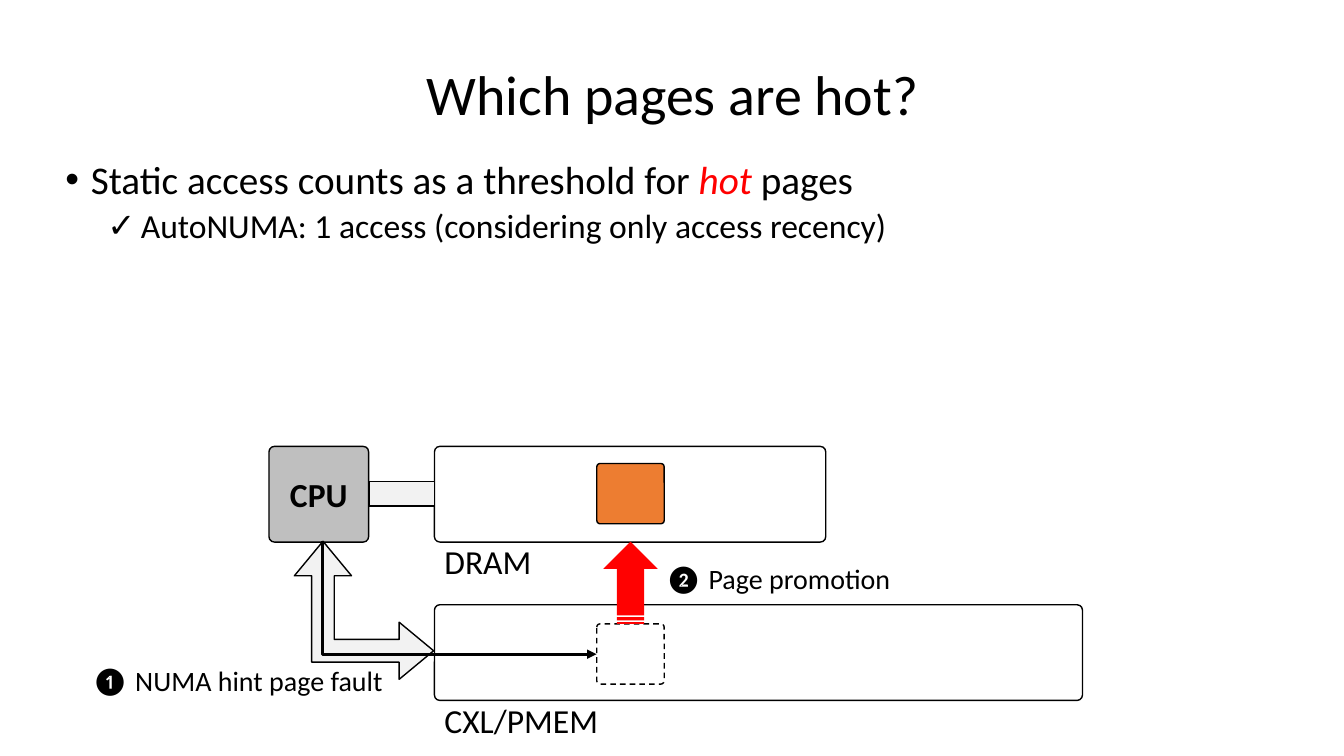
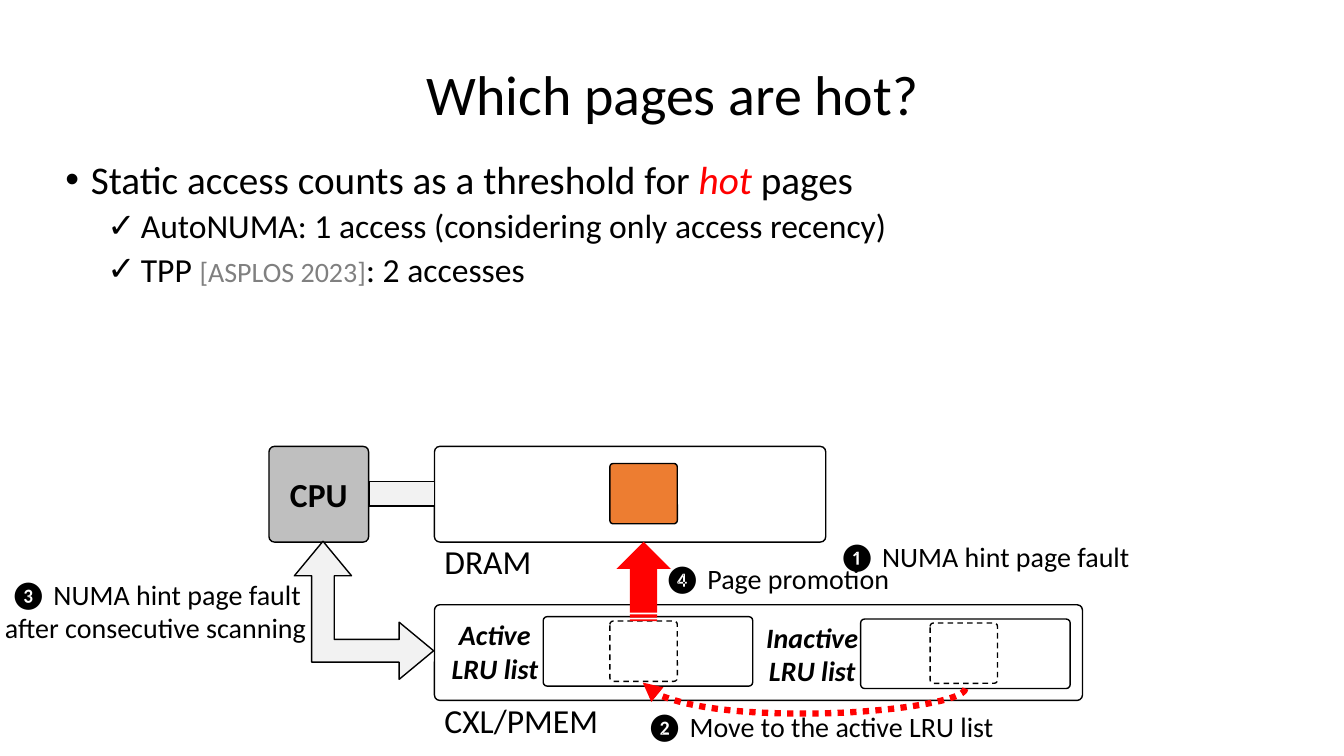
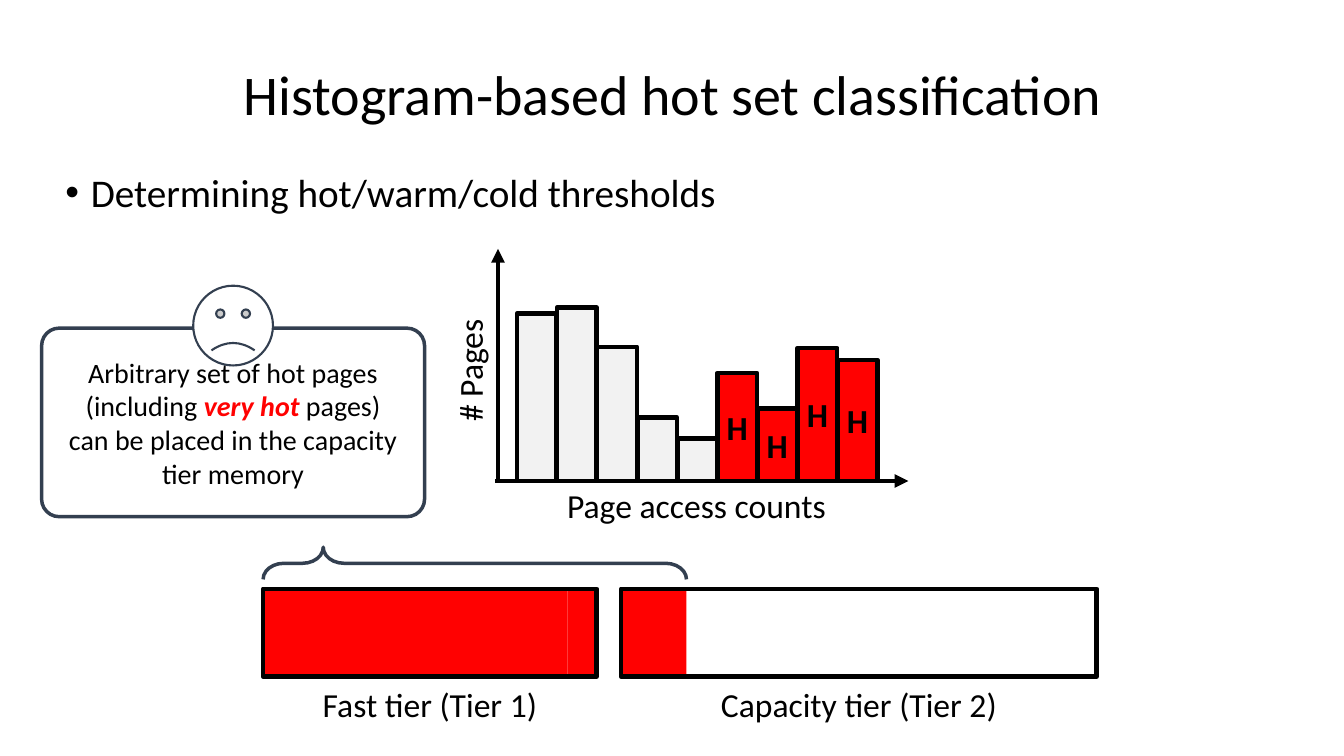
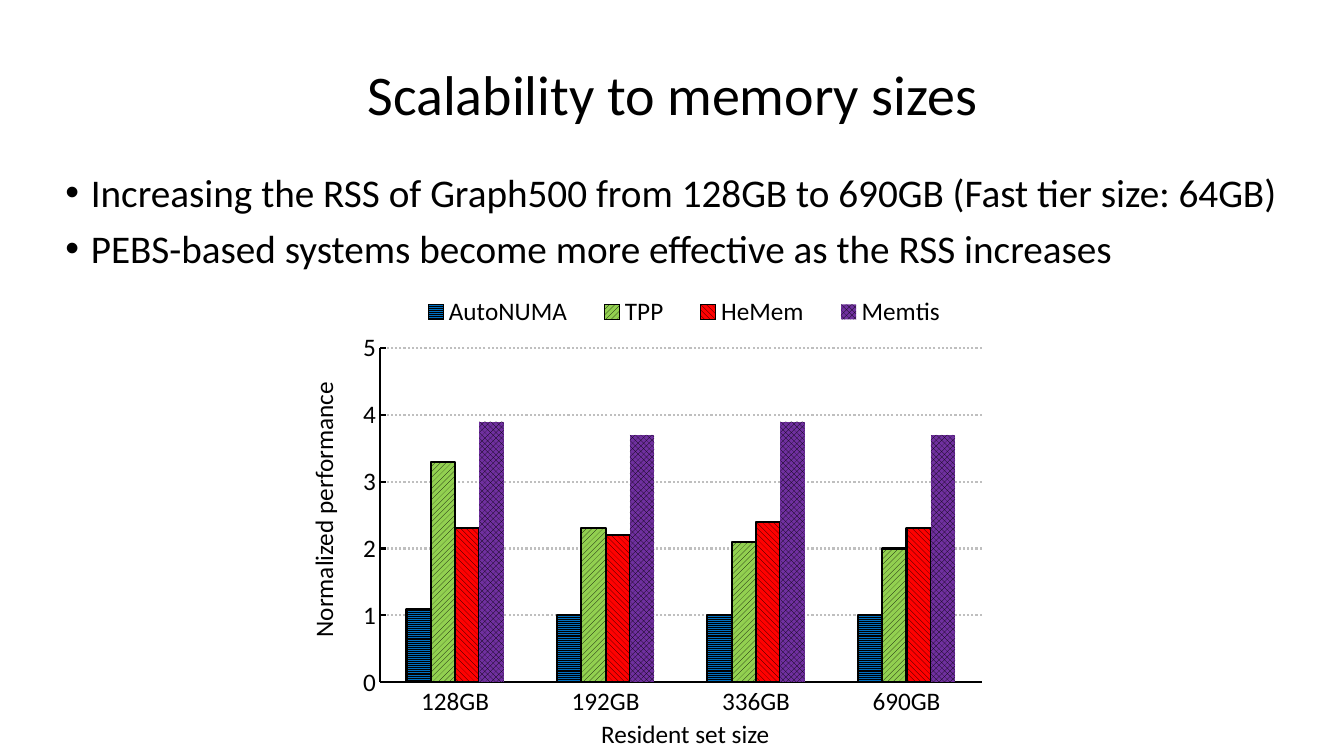
import dataclasses

import lxml.etree
import pptx
import pptx.chart.data
import pptx.dml.color
import pptx.enum.chart
import pptx.enum.dml
import pptx.enum.shapes
import pptx.enum.text
import pptx.oxml.ns
import pptx.util

Cm, Pt = pptx.util.Cm, pptx.util.Pt
MSO = pptx.enum.shapes.MSO_SHAPE
CXN = pptx.enum.shapes.MSO_CONNECTOR
DASH = pptx.enum.dml.MSO_LINE
PATTERN = pptx.enum.dml.MSO_PATTERN
ALIGN = pptx.enum.text.PP_ALIGN
ANCHOR = pptx.enum.text.MSO_ANCHOR
qn = pptx.oxml.ns.qn


@dataclasses.dataclass(frozen=True)
class Theme:
    font: str = "Calibri"
    black: str = "000000"
    white: str = "FFFFFF"
    red: str = "FF0101"
    emphasis: str = "FF0000"
    orange: str = "ED7D31"
    pale: str = "F2F2F2"
    silver: str = "BFBFBF"
    gray: str = "808080"
    navy: str = "333F50"
    blue: str = "0070C0"
    green: str = "92D050"
    purple: str = "7030A0"
    title: int = 40
    bullet: int = 28
    label: int = 24
    note: int = 20
    axis: int = 18
    thick: float = 3.25
    corner: float = 0.056


T = Theme()


def rgb(value):
    return pptx.dml.color.RGBColor.from_string(value)


def add_xml(parent, tag, **attrs):
    return lxml.etree.SubElement(parent, qn(tag), attrs)


def style_font(font, size, color=T.black, bold=None, italic=None):
    font.name, font.size, font.bold, font.italic = T.font, Pt(size), bold, italic
    font.color.rgb = rgb(color)


def write(tf, paragraphs, size=T.label, color=T.black, bold=None, italic=None,
          align=ALIGN.CENTER, anchor=ANCHOR.MIDDLE, wrap=False, inset=0.25):
    """Fill a text frame; a paragraph is a string or a list of (text, format) runs."""
    tf.word_wrap, tf.vertical_anchor = wrap, anchor
    tf.margin_left = tf.margin_right = Cm(inset)
    if isinstance(paragraphs, str):
        paragraphs = [paragraphs]
    for i, runs in enumerate(paragraphs):
        p = tf.add_paragraph() if i else tf.paragraphs[0]
        p.alignment = align
        for text, extra in [(runs, {})] if isinstance(runs, str) else runs:
            fmt = dict(size=size, color=color, bold=bold, italic=italic) | extra
            for n, line in enumerate(text.split("\n")):
                if n:
                    p.add_line_break()
                r = p.add_run()
                r.text = line
                style_font(r.font, **fmt)


def set_layout(parent, index, x, y, w, h, inner=False):
    """Place a chart part by fractions of the chart area."""
    for old in parent.findall(qn("c:layout")):
        parent.remove(old)
    layout = add_xml(parent, "c:layout")
    parent.insert(index, layout)
    manual = add_xml(layout, "c:manualLayout")
    if inner:
        add_xml(manual, "c:layoutTarget", val="inner")
    for side in "xy":
        add_xml(manual, f"c:{side}Mode", val="edge")
    for key, val in zip("xywh", (x, y, w, h)):
        add_xml(manual, f"c:{key}", val=str(val))


class Deck:
    """Holds the presentation and the slide being drawn."""

    def __init__(self):
        self.prs = pptx.Presentation()
        self.prs.slide_width, self.prs.slide_height = Cm(33.87), Cm(19.05)

    def new_slide(self, title):
        self.s = self.prs.slides.add_slide(self.prs.slide_layouts[6])
        sp = self.text(title, 1.4, 1, 31.09, 2.9, size=T.title, wrap=True)
        sp.text_frame.paragraphs[0].line_spacing = 0.9

    def text(self, text, x, y, w, h, rotation=0, **fmt):
        sp = self.s.shapes.add_textbox(Cm(x), Cm(y), Cm(w), Cm(h))
        sp.rotation = rotation
        write(sp.text_frame, text, **fmt)
        return sp

    def bullets(self, items, y=4.24):
        """Draw (level, runs) items, with dots on level 0 and ticks on level 1."""
        levels = [("•", 0.64, 0.64, 10), ("✓", 1.9, 0.84, 5)]
        sp = self.text([runs for _, runs in items], 1.4, y, 31.09, 13,
                       align=ALIGN.LEFT, anchor=ANCHOR.TOP, wrap=True)
        for p, (level, _) in zip(sp.text_frame.paragraphs, items):
            mark, margin, hang, before = levels[level]
            p.line_spacing, p.space_before = 0.9, Pt(before)
            for r in p.runs:
                if not level:
                    r.font.size = Pt(T.bullet)
            props = p._p.get_or_add_pPr()
            props.set("marL", str(Cm(margin)))
            props.set("indent", str(-Cm(hang)))
            add_xml(props, "a:buFont", typeface="Arial")
            add_xml(props, "a:buChar", char=mark)

    def shape(self, kind, x, y, w, h, fill=None, line=T.black, width=1, adj=(),
              dash=None, rotation=0, flip=False, text=None, **fmt):
        sp = self.s.shapes.add_shape(kind, Cm(x), Cm(y), Cm(w), Cm(h))
        sp.shadow.inherit = False
        sp.rotation = rotation
        for i, value in enumerate(adj):
            sp.adjustments[i] = value
        if flip:
            sp.element.spPr.xfrm.set("flipH", "1")
        if fill:
            sp.fill.solid()
            sp.fill.fore_color.rgb = rgb(fill)
        else:
            sp.fill.background()
        if line:
            sp.line.color.rgb, sp.line.width = rgb(line), Pt(width)
            if dash:
                sp.line.dash_style = dash
        else:
            sp.line.fill.background()
        if text:
            write(sp.text_frame, text, **fmt)
        return sp

    def box(self, x, y, w, h, fill=T.white, **fmt):
        return self.shape(MSO.ROUNDED_RECTANGLE, x, y, w, h, fill, adj=[T.corner], **fmt)

    def arrow(self, x1, y1, x2, y2, kind=CXN.STRAIGHT, color=T.black, width=T.thick, dash=None):
        c = self.s.shapes.add_connector(kind, Cm(x1), Cm(y1), Cm(x2), Cm(y2))
        c.line.color.rgb, c.line.width = rgb(color), Pt(width)
        if dash:
            c.line.dash_style = dash
        add_xml(c.element.spPr.find(qn("a:ln")), "a:tailEnd", type="triangle")
        add_xml(c.element.spPr, "a:effectLst")
        return c

    def route(self, c, start, end, preset, box, rotation, adj=None):
        """Join a bent or curved arrow to (shape, site) ends and turn its path."""
        c.begin_connect(*start)
        c.end_connect(*end)
        c.left, c.top, c.width, c.height = map(Cm, box)
        xfrm = c.element.spPr.xfrm
        xfrm.attrib.pop("flipV", None)
        xfrm.set("rot", str(rotation * 60000))
        xfrm.set("flipH", "1")
        geom = c.element.spPr.find(qn("a:prstGeom"))
        geom.set("prst", preset)
        if adj is not None:
            guides = geom.find(qn("a:avLst"))
            if guides is None:
                guides = add_xml(geom, "a:avLst")
            add_xml(guides, "a:gd", name="adj1", fmla=f"val {round(adj * 100000)}")

    # Parts of the memory diagram
    def memory(self):
        self.box(10.95, 15.24, 16.33, 2.41)
        self.box(10.95, 11.25, 9.86, 2.41)
        cpu = self.box(6.78, 11.25, 2.51, 2.41, T.silver, text="CPU", bold=True)
        self.shape(MSO.LEFT_UP_ARROW, 7.42, 13.64, 3.51, 3.48, T.pale,
                   adj=[0.164, 0.207, 0.25], flip=True)
        self.shape(MSO.RECTANGLE, 9.3, 12.14, 1.65, 0.61, T.pale)
        for name, y in (("CXL/PMEM", 17.63), ("DRAM", 13.64)):
            self.text(name, 10.95, y, 5, 1.02, align=ALIGN.LEFT)
        return cpu

    def page(self, x, y, **fmt):
        return self.box(x, y, 1.7, 1.52, **fmt)

    def promotion(self, x, y):
        """Promote the page whose top left corner is x, y into DRAM."""
        top, thick = 13.65, 1.37
        length = y - top
        self.shape(MSO.STRIPED_RIGHT_ARROW, x + 0.85 - length / 2, (top + y - thick) / 2,
                   length, thick, T.red, line=None, rotation=270)
        self.page(x, 11.68, fill=T.orange)

    def note(self, text, center, y, w=9):
        self.text(text, center - w / 2, y, w, 1.02, size=T.note, inset=0)

    def column_chart(self, cats, series, x, y, w, h):
        data = pptx.chart.data.CategoryChartData()
        data.categories = cats
        for name, values, *_ in series:
            data.add_series(name, values)
        chart = self.s.shapes.add_chart(pptx.enum.chart.XL_CHART_TYPE.COLUMN_CLUSTERED,
                                        Cm(x), Cm(y), Cm(w), Cm(h), data).chart
        style_font(chart.font, 14)
        chart.has_title = False
        plot = chart.plots[0]
        plot.gap_width, plot.overlap, plot.vary_by_categories = 219, 0, False
        for ser, (_, _, pattern, color, outlined) in zip(plot.series, series):
            fill = ser.format.fill
            fill.patterned()
            fill.pattern = pattern
            fill.fore_color.rgb, fill.back_color.rgb = rgb(T.black), rgb(color)
            if outlined:
                ser.format.line.color.rgb = rgb(T.black)
                ser.format.line.width = Pt(1.5)
            else:
                ser.format.line.fill.background()
        ticks = pptx.enum.chart.XL_TICK_MARK
        for axis, mark in ((chart.category_axis, ticks.NONE), (chart.value_axis, ticks.INSIDE)):
            axis.major_tick_mark, axis.minor_tick_mark = mark, ticks.NONE
            style_font(axis.tick_labels.font, T.axis)
            axis.format.line.color.rgb, axis.format.line.width = rgb(T.black), Pt(1.5)
        value = chart.value_axis
        value.minimum_scale, value.maximum_scale, value.major_unit = 0, 5, 1
        grid = value.major_gridlines.format.line
        grid.color.rgb, grid.width, grid.dash_style = rgb(T.silver), Pt(1.5), DASH.ROUND_DOT
        chart.has_legend = True
        legend = chart.legend
        legend.position = pptx.enum.chart.XL_LEGEND_POSITION.TOP
        legend.include_in_layout = False
        style_font(legend.font, T.axis)
        area = chart.element.find(".//" + qn("c:plotArea"))
        set_layout(area, 0, 0.05, 0.16, 0.93, 0.74, inner=True)
        set_layout(chart.element.find(".//" + qn("c:legend")), 1, 0.08, 0.03, 0.88, 0.1)


HOT_RULE = (0, [("Static access counts as a threshold for ", {}),
                ("hot", dict(color=T.emphasis, italic=True)), (" pages", {})])
AUTONUMA = (1, "AutoNUMA: 1 access (considering only access recency)")
TPP = (1, [("TPP ", {}), ("[ASPLOS 2023]", dict(size=T.note, color=T.gray)),
           (": 2 accesses", {})])


def one_access(d):
    d.new_slide("Which pages are hot?")
    d.bullets([HOT_RULE, AUTONUMA], y=3.92)
    cpu = d.memory()
    x, y = 15.04, 15.72
    cold = d.page(x, y, dash=DASH.DASH)
    fault = d.arrow(8.13, 13.64, x, 16.48, CXN.ELBOW, width=2.25)
    d.route(fault, (cpu, 2), (cold, 1), "bentConnector2", (10.16, 11.61, 2.84, 6.91), 270)
    d.note("❶ NUMA hint page fault", 5.98, 16.64)
    d.note("❷ Page promotion", 19.6, 14.05)
    d.promotion(x, y)


def two_accesses(d):
    d.new_slide("Which pages are hot?")
    d.bullets([HOT_RULE, AUTONUMA, TPP], y=3.92)
    d.memory()
    # LRU lists with their labels
    for name, x, y in (("Active", 13.69, 15.54), ("Inactive", 21.69, 15.6)):
        d.box(x, y, 5.28, 1.75)
        d.text([name, "LRU list"], x - 2.44, y, 2.44, 1.75, size=T.note, bold=True,
               italic=True, inset=0)
    x, y = 15.37, 15.65
    inactive = d.page(23.44, 15.7, dash=DASH.DASH)
    active = d.page(x, y, dash=DASH.DASH)
    move = d.arrow(24.33, 17.32, 16.23, 17.2, CXN.CURVE, T.red, 4.5, DASH.ROUND_DOT)
    d.route(move, (inactive, 2), (active, 2), "curvedConnector3",
            (20.19, 13.21, 0.15, 8.13), 90, adj=-4.21)
    d.promotion(x, y)
    d.note("❶ NUMA hint page fault", 24.8, 13.51)
    d.note("❷ Move to the active LRU list", 20.66, 17.78)
    d.note("❸ NUMA hint page fault\nafter consecutive scanning", 3.92, 14.88, w=7.8)
    d.note("❹ Page promotion", 19.57, 14.05)


def histogram(d):
    d.new_slide("Histogram-based hot set classification")
    d.bullets([(0, "Determining hot/warm/cold thresholds")])
    # Histogram
    base, first, step = 12.12, 13.03, 1.01
    d.arrow(12.55, 12.17, 12.55, 6.27)
    d.arrow(12.47, base, 22.89, base)
    for i, h in enumerate((4.22, 4.37, 3.38, 1.6, 1.07, 2.72, 1.83, 3.35, 3.05)):
        hot = i >= 5
        d.shape(MSO.RECTANGLE, first + i * step, base - h, 1, h, T.red if hot else T.pale,
                width=T.thick, text="H" if hot else None, bold=True)
    d.text("# Pages", 9.09, 8.74, 5.56, 1.19, rotation=270, anchor=ANCHOR.BOTTOM)
    d.text("Page access counts", first, 12.18, 9.04, 1.19, anchor=ANCHOR.BOTTOM)
    # Tiers: name, left, width and the widths of the hot parts
    top, height = 14.84, 2.21
    for name, x, w, parts in (("Fast tier (Tier 1)", 6.63, 8.41, (2.77, 3.35, 1.55, 0.74)),
                              ("Capacity tier (Tier 2)", 15.65, 11.99, (1.65,))):
        for i, part in enumerate(parts):
            d.shape(MSO.RECTANGLE, x + sum(parts[:i]), top, part, height, T.red, line=None)
        d.shape(MSO.RECTANGLE, x, top, w, height, width=T.thick)
        d.text(name, x, top + height, w, 1.32, anchor=ANCHOR.BOTTOM)
    # Remark
    d.shape(MSO.LEFT_BRACE, 11.56, 8.86, 0.81, 10.67, line=T.navy, width=2.5,
            adj=[0.647, 0.858], rotation=90)
    remark = [("Arbitrary set of hot pages\n(including ", {}),
              ("very hot ", dict(color=T.red, bold=True, italic=True)),
              ("pages)\ncan be placed in the capacity\ntier memory", {})]
    d.shape(MSO.ROUNDED_RECTANGLE, 1.05, 8.27, 9.65, 4.75, line=T.navy, width=2.5,
            adj=[0.093], text=[remark], size=T.note)
    d.shape(MSO.SMILEY_FACE, 4.87, 7.2, 2.01, 2.01, T.white, T.navy, 1.5, adj=[-0.047])


def scalability(d):
    d.new_slide("Scalability to memory sizes")
    d.bullets([(0, "Increasing the RSS of Graph500 from 128GB to 690GB (Fast tier size: 64GB)"),
               (0, "PEBS-based systems become more effective as the RSS increases")])
    d.column_chart(["128GB", "192GB", "336GB", "690GB"], [
        ("AutoNUMA", (1.1, 1, 1, 1), PATTERN.LIGHT_HORIZONTAL, T.blue, True),
        ("TPP", (3.3, 2.3, 2.1, 2), PATTERN.WIDE_UPWARD_DIAGONAL, T.green, True),
        ("HeMem", (2.3, 2.2, 2.4, 2.3), PATTERN.WIDE_DOWNWARD_DIAGONAL, T.red, True),
        ("Memtis", (3.9, 3.7, 3.9, 3.7), PATTERN.SOLID_DIAMOND, T.purple, False),
    ], 8.76, 6.95, 16.31, 11.38)
    d.text("Normalized performance", 3.94, 12.4, 8.41, 0.89, rotation=270, size=T.axis)
    d.text("Resident set size", 9.88, 18.03, 14.78, 0.89, size=T.axis)


def main():
    d = Deck()
    for build in (one_access, two_accesses, histogram, scalability):
        build(d)
    d.prs.save("out.pptx")


if __name__ == "__main__":
    main()
